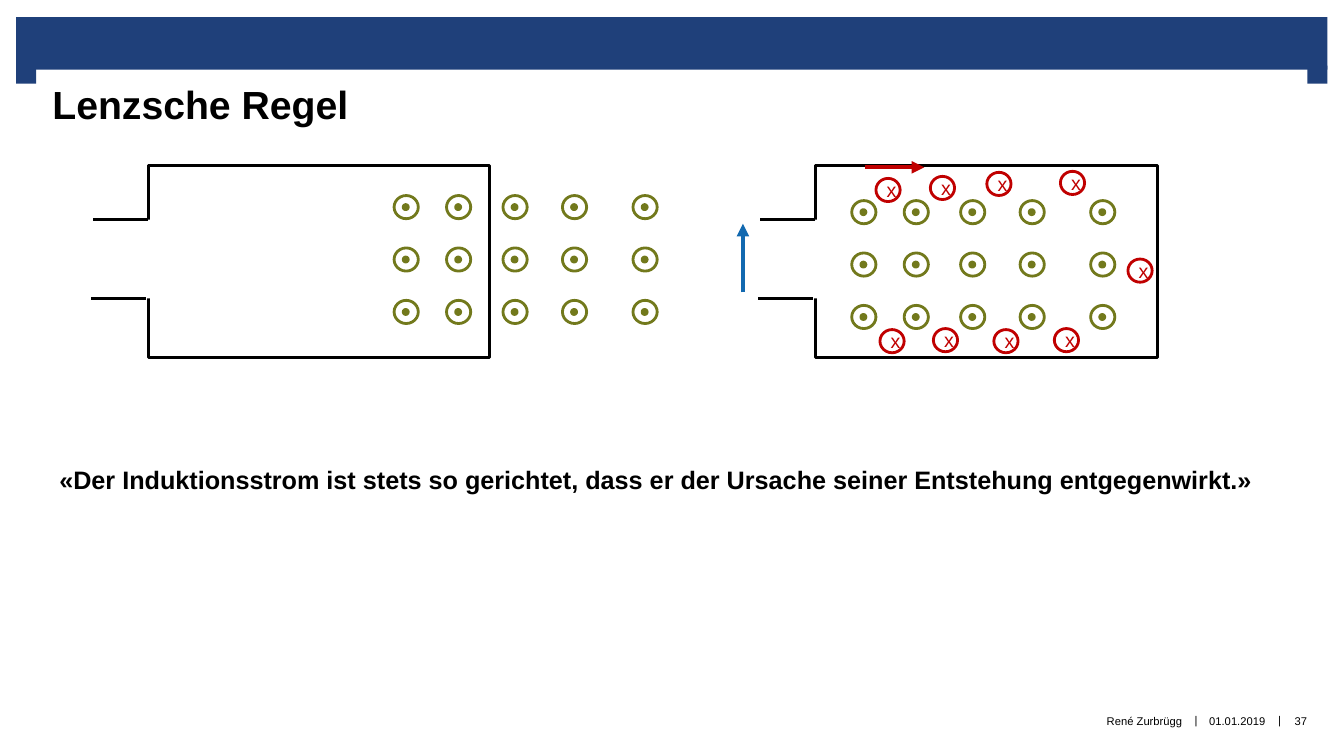
from itertools import product

from lxml import etree
from pptx import Presentation
from pptx.dml.color import RGBColor
from pptx.enum import shapes, text
from pptx.oxml.ns import qn
from pptx.util import Inches, Pt

# The slide is a grid of 133.33 columns by 75 rows, each a tenth of an inch
COLUMNS, ROWS = 133.33, 75
COLORS = {"band": "1F407A", "ink": "000000", "paper": "FFFFFF",
          "field": "72791C", "induced": "C00000", "motion": "1269B0"}
FONT = "Arial"
RING = (2.4, 2.3)
DOT = 0.5
FIELD_COLUMNS = (0, 5.2, 10.8, 16.7, 23.7)
FIELD_ROWS = (0, 5.2, 10.4)
CROSSES = ((86.9, 17.7), (92.3, 17.5), (97.9, 17.1), (105.2, 17),
           (87.3, 32.7), (92.6, 32.6), (98.6, 32.7), (104.6, 32.6),
           (111.9, 25.7))


def grid(*counts):
    return [Inches(count / 10) for count in counts]


def color(name):
    return RGBColor.from_string(COLORS[name])


def write(frame, words, size=8, ink="ink", bold=False, align=None):
    paragraph = frame.paragraphs[0]
    paragraph.alignment = align
    run = paragraph.add_run()
    run.text = words
    run.font.name, run.font.size, run.font.bold = FONT, Pt(size), bold
    run.font.color.rgb = color(ink)


def label(slide, words, box, insets=(1, 0.5, 1, 0.5), wrap=True,
          anchor=text.MSO_ANCHOR.TOP, **style):
    frame = slide.shapes.add_textbox(*grid(*box)).text_frame
    (frame.margin_left, frame.margin_top,
     frame.margin_right, frame.margin_bottom) = grid(*insets)
    frame.word_wrap = wrap
    frame.vertical_anchor = anchor
    write(frame, words, **style)


def outline(parent, kind, box, fill=None, line=None, width=2):
    figure = parent.shapes.add_shape(kind, *grid(*box))
    figure.shadow.inherit = False
    if fill:
        figure.fill.solid()
        figure.fill.fore_color.rgb = color(fill)
    else:
        figure.fill.background()
    if line:
        figure.line.color.rgb = color(line)
        figure.line.width = Pt(width)
    else:
        figure.line.fill.background()
    return figure


def wire(slide, start, end, line="ink", width=2.25, arrow=False):
    connector = slide.shapes.add_connector(
        shapes.MSO_CONNECTOR.STRAIGHT, *grid(*start, *end))
    connector.line.color.rgb = color(line)
    connector.line.width = Pt(width)
    properties = connector._element.spPr
    if arrow:
        etree.SubElement(properties.find(qn("a:ln")), qn("a:tailEnd"), type="triangle")
    etree.SubElement(properties, qn("a:effectLst"))


def header_band(slide):
    band = slide.shapes.add_group_shape()
    for box in ((1.6, 1.7, 130.1, 5.2), (1.6, 6.5, 2, 1.8), (129.7, 6.5, 2, 1.8)):
        outline(band, shapes.MSO_SHAPE.RECTANGLE, box, fill="band")


def conductor_loop(slide, left, top):
    outline(slide, shapes.MSO_SHAPE.RECTANGLE, (left, top, 33.9, 19.1),
            line="ink", width=2.25)
    # The white gap opens the loop between its two terminals
    outline(slide, shapes.MSO_SHAPE.RECTANGLE, (left - 4.8, top + 5.4, 10.2, 7.8),
            fill="paper")
    for x, y in ((left, top + 5.4), (left - 0.2, top + 13.25)):
        wire(slide, (x, y), (x - 5.5, y))


def magnetic_field(slide, left, top):
    field = slide.shapes.add_group_shape()
    for column, row in product(FIELD_COLUMNS, FIELD_ROWS):
        x, y = left + column, top + row
        outline(field, shapes.MSO_SHAPE.OVAL, (x, y, *RING), line="field")
        outline(field, shapes.MSO_SHAPE.OVAL, (x + 0.9, y + 0.9, DOT, DOT),
                fill="field", line="field")


def induced_field(slide):
    for place in CROSSES:
        cross = outline(slide, shapes.MSO_SHAPE.OVAL, (*place, *RING), line="induced")
        write(cross.text_frame, "x", size=14, ink="induced",
              align=text.PP_ALIGN.CENTER)


def footer(slide):
    center, right = text.PP_ALIGN.CENTER, text.PP_ALIGN.RIGHT
    for left in (117.9, 126.2):
        label(slide, "|", (left, 68.9, 1.5, 5.1), (0.4, 0.5, 0.4, 0.5), wrap=False,
              anchor=text.MSO_ANCHOR.MIDDLE, align=center)
    for words, left, width, align in (("René Zurbrügg", 66.6, 50.7, right),
                                      ("01.01.2019", 119.4, 6.7, center),
                                      ("37", 127.1, 3.9, center)):
        label(slide, words, (left, 69, width, 5.1), (0, 0, 0, 0),
              anchor=text.MSO_ANCHOR.MIDDLE, align=align)


def main():
    deck = Presentation()
    deck.slide_width, deck.slide_height = grid(COLUMNS, ROWS)
    slide = deck.slides.add_slide(deck.slide_layouts[6])

    # Frame and title
    header_band(slide)
    footer(slide)
    label(slide, "Lenzsche Regel", (3.6, 6.8, 126.2, 11.1), (1.6, 1.2, 1.6, 0),
          size=28, bold=True)

    # Loop entering the field, then loop inside it
    for loop_left, field_left, field_top in ((14.7, 39.1, 19.4), (80.9, 84.5, 19.9)):
        conductor_loop(slide, loop_left, 16.4)
        magnetic_field(slide, field_left, field_top)

    # Voltage, induced current and its opposing field
    wire(slide, (73.7, 29), (73.7, 22.2), line="motion", width=3, arrow=True)
    wire(slide, (85.8, 16.6), (91.7, 16.6), line="induced", width=3, arrow=True)
    induced_field(slide)

    # Lenz's law
    label(slide, "«Der Induktionsstrom ist stets so gerichtet, dass er der Ursache "
          "seiner Entstehung entgegenwirkt.»", (4.9, 45.6, 124.4, 4),
          size=18, bold=True)
    deck.save("out.pptx")


if __name__ == "__main__":
    main()
